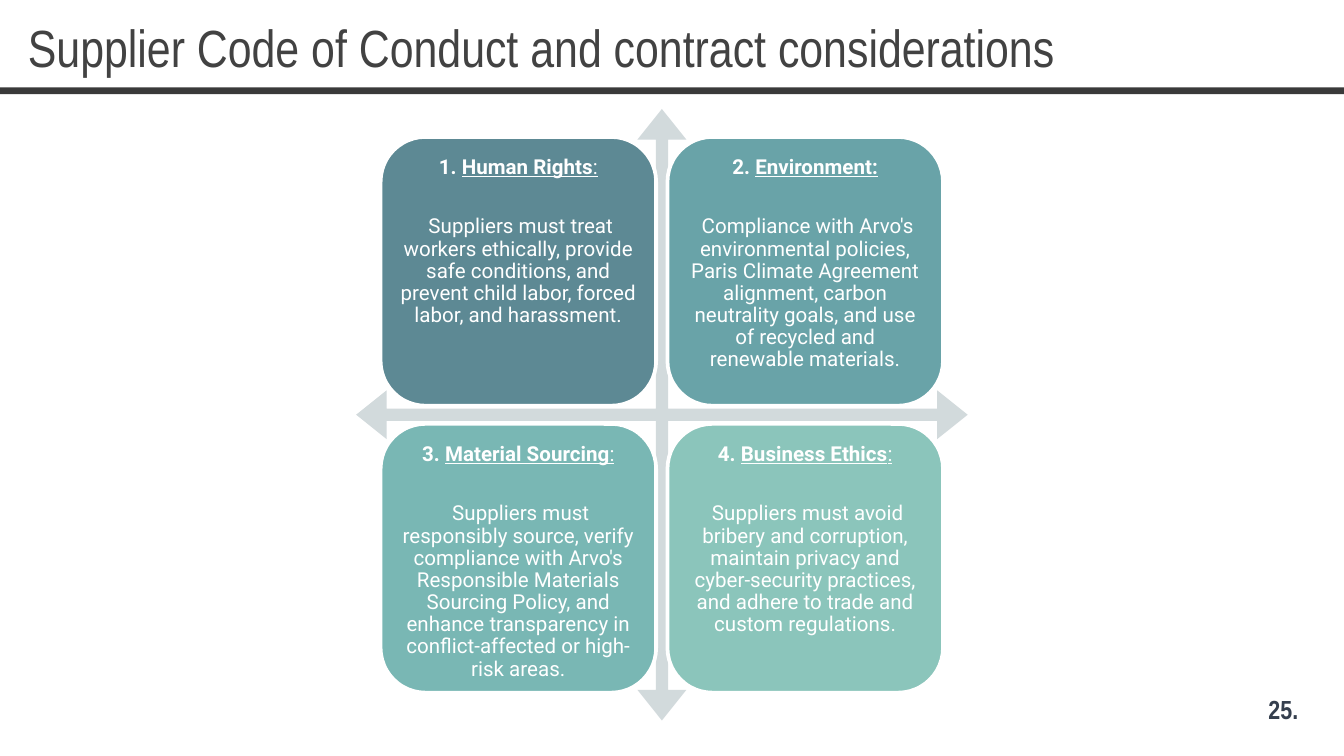
import pptx
import pptx.dml.color
import pptx.enum.shapes
import pptx.enum.text
import pptx.util

Pt = pptx.util.Pt
RGBColor = pptx.dml.color.RGBColor
SHAPES = pptx.enum.shapes.MSO_SHAPE
ANCHOR = pptx.enum.text.MSO_ANCHOR

WHITE = RGBColor(0xFF, 0xFF, 0xFF)
TITLE_GREY = RGBColor(0x42, 0x42, 0x42)
RULE_GREY = RGBColor(0x3A, 0x3A, 0x3A)
ARROW_GREY = RGBColor(0xD2, 0xDA, 0xDC)
NUMBER_BLUE = RGBColor(0x35, 0x3F, 0x4E)
SLATE = RGBColor(0x5D, 0x89, 0x94)
TEAL = RGBColor(0x69, 0xA3, 0xA8)
SEA = RGBColor(0x79, 0xB7, 0xB4)
MINT = RGBColor(0x8B, 0xC5, 0xBB)

deck = pptx.Presentation()
deck.slide_width, deck.slide_height = Pt(720), Pt(405)
page = deck.slides.add_slide(deck.slide_layouts[6])


def add_filled(kind, left, top, width, height, color):
    shape = page.shapes.add_shape(kind, Pt(left), Pt(top), Pt(width), Pt(height))
    shape.shadow.inherit = False
    shape.fill.solid()
    shape.fill.fore_color.rgb = color
    shape.line.fill.background()
    return shape


def style_font(font, name, size, color, bold=False):
    font.name, font.size, font.bold = name, Pt(size), bold
    font.color.rgb = color


# Title and page number
labels = [
    ("Supplier Code of Conduct and contract considerations",
     7.9, 14.4, 632, 21.6, 28, TITLE_GREY, False, ANCHOR.MIDDLE),
    ("25.", 672.5, 368, 47.5, 24.5, 14, NUMBER_BLUE, True, ANCHOR.TOP),
]
for text, left, top, width, height, size, color, bold, anchor in labels:
    box = page.shapes.add_textbox(Pt(left), Pt(top), Pt(width), Pt(height))
    frame = box.text_frame
    frame.word_wrap = True
    frame.vertical_anchor = anchor
    frame.text = text
    style_font(frame.paragraphs[0].runs[0].font, "Arial Narrow", size, color, bold)

# Rule under the title
add_filled(SHAPES.RECTANGLE, 0, 46.8, 720, 3.6, RULE_GREY)

# Four-way arrow behind the cards
arrow = add_filled(SHAPES.QUAD_ARROW, 190.8, 58.4, 327.6, 327.6, ARROW_GREY)
for index, value in enumerate((0.02, 0.04, 0.05)):
    arrow.adjustments[index] = value

# Cards in a two by two grid: heading, its colon, is the colon bold, body, fill
cards = [
    ("Human Rights", False, SLATE,
     " Suppliers must treat workers ethically, provide safe conditions, and "
     "prevent child labor, forced labor, and harassment."),
    ("Environment", True, TEAL,
     " Compliance with Arvo's environmental policies, Paris Climate Agreement "
     "alignment, carbon neutrality goals, and use of recycled and renewable "
     "materials."),
    ("Material Sourcing", False, SEA,
     " Suppliers must responsibly source, verify compliance with Arvo's "
     "Responsible Materials Sourcing Policy, and enhance transparency in "
     "conflict-affected or high-risk areas."),
    ("Business Ethics", False, MINT,
     " Suppliers must avoid bribery and corruption, maintain privacy and "
     "cyber-security practices, and adhere to trade and custom regulations."),
]
PITCH = 153.7
for index, (heading, bold_colon, color, body) in enumerate(cards):
    row, column = divmod(index, 2)
    card = add_filled(SHAPES.ROUNDED_RECTANGLE, 203.9 + column * PITCH,
                      73.4 + row * PITCH, 147.6, 144, color)
    card.line.color.rgb = WHITE
    card.line.width = Pt(2)

    frame = card.text_frame
    frame.word_wrap = True
    frame.vertical_anchor = ANCHOR.TOP
    frame.margin_left = frame.margin_right = Pt(3.6)
    frame.margin_top = frame.margin_bottom = Pt(3.6)

    heading_para = frame.paragraphs[0]
    heading_para.space_after = Pt(20)
    body_para = frame.add_paragraph()
    spans = [
        (heading_para, f"{index + 1}. ", True, False),
        (heading_para, heading, True, True),
        (heading_para, ":", bold_colon, True),
        (body_para, body, False, False),
    ]
    for para, text, bold, underline in spans:
        para.alignment = pptx.enum.text.PP_ALIGN.CENTER
        para.line_spacing = 0.9
        span = para.add_run()
        span.text = text
        style_font(span.font, "Roboto", 11, WHITE, bold)
        span.font.underline = underline

deck.save("out.pptx")
